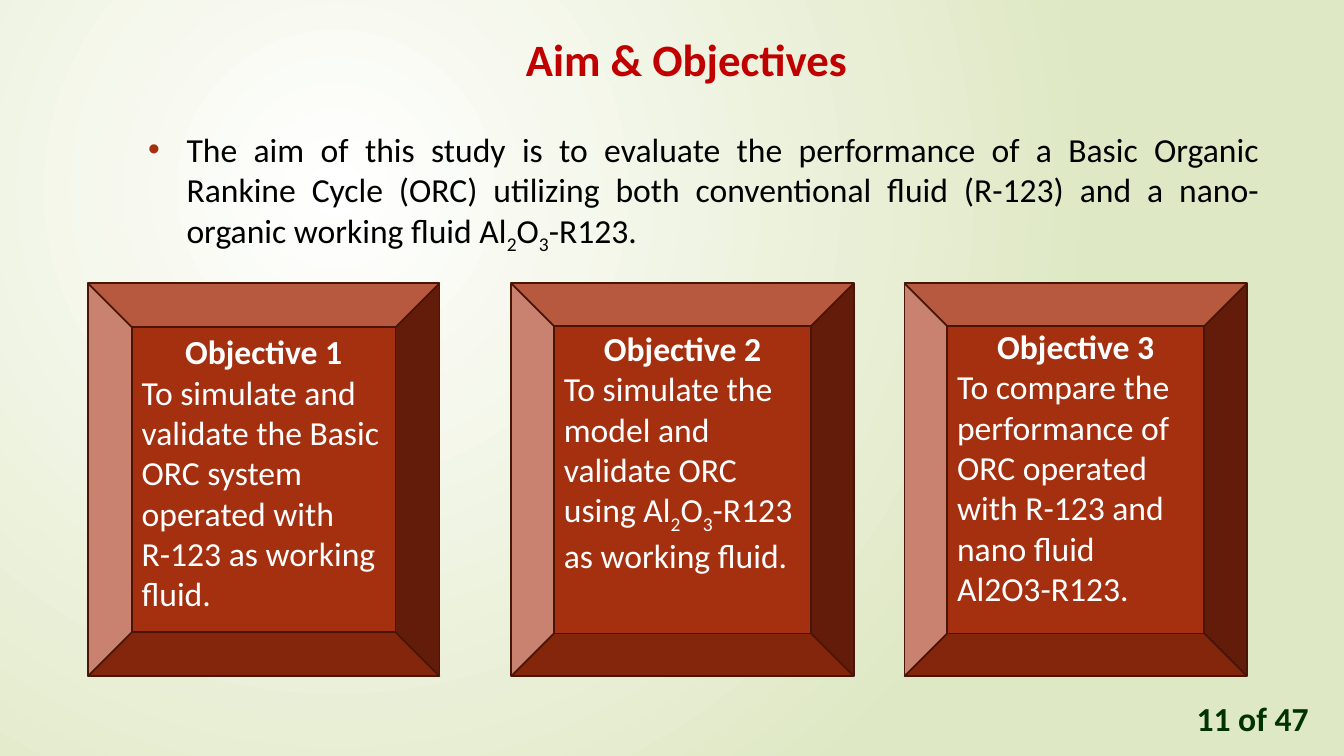
from lxml import etree
from pptx import Presentation
from pptx import util as u
from pptx.dml.color import RGBColor
from pptx.enum import shapes, text
from pptx.oxml import ns

WHITE = RGBColor(0xFF, 0xFF, 0xFF)
BLACK = RGBColor(0, 0, 0)
PALE_GREEN = RGBColor(0xDF, 0xE8, 0xC4)
DARK_GREEN = RGBColor(0x00, 0x33, 0x00)
RED = RGBColor(0xC0, 0x00, 0x00)
RUST = RGBColor(0xA5, 0x30, 0x10)
DARK_RUST = RGBColor(0x48, 0x15, 0x07)

LEFT, CENTER, JUSTIFY = text.PP_ALIGN.LEFT, text.PP_ALIGN.CENTER, text.PP_ALIGN.JUSTIFY
TOP, BOTTOM = text.MSO_ANCHOR.TOP, text.MSO_ANCHOR.BOTTOM

CARD_TOP, CARD_HEIGHT = 2.81, 3.9
# left, width, top inset, heading, goal
OBJECTIVES = [
    (0.87, 3.49, 0.04, "Objective 1",
     "To simulate and validate the Basic ORC system operated with R-123 as working fluid."),
    (5.07, 3.4, 0.02, "Objective 2",
     "To simulate the model and validate ORC using Al_2_O_3_-R123 as working fluid."),
    (8.97, 3.4, 0, "Objective 3",
     "To compare the performance of ORC operated with R-123 and nano fluid\nAl2O3-R123."),
]
AIM = ("The aim of this study is to evaluate the performance of a Basic Organic Rankine Cycle "
       "(ORC) utilizing both conventional fluid (R-123) and a nano-organic working fluid "
       "Al_2_O_3_-R123.")


def apply_format(target, values):
    for name, value in values.items():
        setattr(target, name, value)


class SlideBuilder:
    font_name = "Calibri"
    body_size = 24

    def __init__(self, slide):
        self.slide = slide

    def background(self, center, edge):
        """Fill the background with a circular gradient centred in the upper left."""
        fill = self.slide.background.fill
        fill.gradient()
        for stop, color in zip(fill.gradient_stops, (center, edge)):
            stop.color.rgb = color
        linear = self.slide.element.find(".//" + ns.qn("a:lin"))
        circle = etree.Element(ns.qn("a:path"), path="circle")
        etree.SubElement(circle, ns.qn("a:fillToRect"),
                         l="50000", t="50000", r="100000", b="100000")
        linear.getparent().replace(linear, circle)

    def place(self, placeholder, left, top, width, height):
        apply_format(placeholder, {
            "left": u.Inches(left), "top": u.Inches(top),
            "width": u.Inches(width), "height": u.Inches(height)})

    def frame(self, shape, **values):
        apply_format(shape.text_frame, {
            "word_wrap": True, "auto_size": text.MSO_AUTO_SIZE.NONE,
            "vertical_anchor": TOP, **values})
        return shape.text_frame

    def add_words(self, paragraph, words, color, align=LEFT, size=body_size, bold=False):
        """Add words, with subscripts between underscores and \\n as a line break."""
        apply_format(paragraph, {"alignment": align, "space_before": u.Pt(0)})
        for index, part in enumerate(words.split("_")):
            for number, line in enumerate(part.split("\n")):
                if number:
                    paragraph.add_line_break()
                run = paragraph.add_run()
                run.text = line
                apply_format(run.font, {"name": self.font_name, "size": u.Pt(size), "bold": bold})
                run.font.color.rgb = color
                if index % 2:
                    run._r.get_or_add_rPr().set("baseline", "-25000")

    def title(self, words):
        title = self.slide.shapes.title
        self.place(title, 0, 0.26, 11.22, 0.97)
        frame = self.frame(title, margin_left=u.Inches(2.5))
        self.add_words(frame.paragraphs[0], words, RED, CENTER, 32, True)

    def aim(self, words):
        body = self.slide.placeholders[1]
        self.place(body, 1.37, 1.23, 11.22, 1.58)
        paragraph = self.frame(body).paragraphs[0]
        self.bullet(paragraph, RUST, 0.38)
        self.add_words(paragraph, words, BLACK, JUSTIFY)

    def bullet(self, paragraph, color, indent):
        properties = paragraph._p.get_or_add_pPr()
        properties.set("marL", str(u.Inches(indent)))
        properties.set("indent", str(-u.Inches(indent)))
        bullet_color = etree.SubElement(properties, ns.qn("a:buClr"))
        etree.SubElement(bullet_color, ns.qn("a:srgbClr"), val=str(color))
        etree.SubElement(properties, ns.qn("a:buFont"), typeface="Arial")
        etree.SubElement(properties, ns.qn("a:buChar"), char="•")

    def objective(self, left, width, inset, heading, goal):
        card = self.slide.shapes.add_shape(
            shapes.MSO_SHAPE.BEVEL, u.Inches(left), u.Inches(CARD_TOP),
            u.Inches(width), u.Inches(CARD_HEIGHT))
        card.shadow.inherit = False
        card.fill.solid()
        card.fill.fore_color.rgb = RUST
        card.line.color.rgb = DARK_RUST
        card.line.width = u.Pt(1.25)
        frame = self.frame(card, margin_top=u.Inches(inset))
        self.add_words(frame.paragraphs[0], heading, WHITE, CENTER, bold=True)
        self.add_words(frame.add_paragraph(), goal, WHITE)

    def page_number(self, words):
        box = self.slide.shapes.add_textbox(
            u.Inches(11.77), u.Inches(6.56), u.Inches(1.4), u.Inches(0.81))
        frame = self.frame(box, word_wrap=False, vertical_anchor=BOTTOM)
        self.add_words(frame.paragraphs[0], words, DARK_GREEN, bold=True)


def main():
    deck = Presentation()
    deck.slide_width, deck.slide_height = u.Inches(13.33), u.Inches(7.5)
    builder = SlideBuilder(deck.slides.add_slide(deck.slide_layouts[1]))
    builder.background(WHITE, PALE_GREEN)
    builder.title("Aim & Objectives")
    builder.aim(AIM)
    for objective in OBJECTIVES:
        builder.objective(*objective)
    builder.page_number("11 of 47")
    deck.save("out.pptx")


if __name__ == "__main__":
    main()
